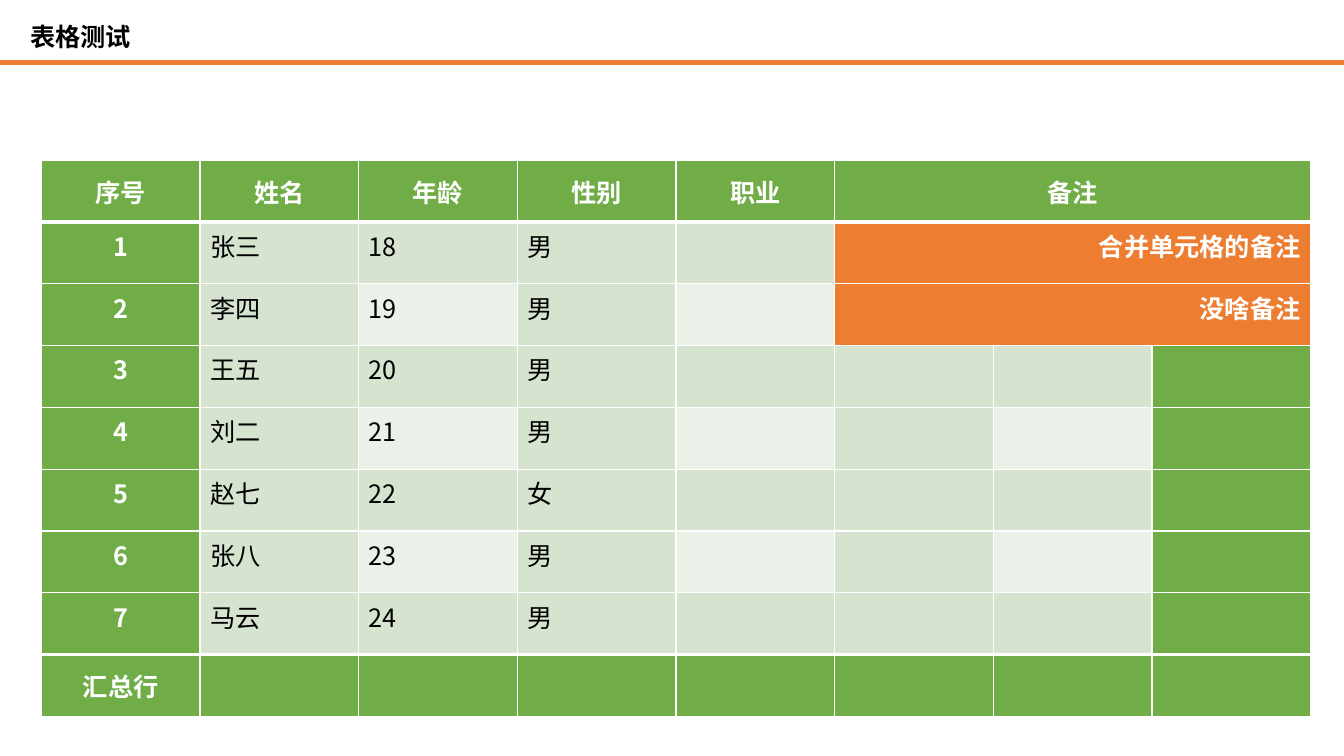
from lxml.etree import SubElement
from pptx import Presentation
from pptx.dml.color import RGBColor
from pptx.enum.shapes import MSO_CONNECTOR
from pptx.enum.text import MSO_ANCHOR, MSO_AUTO_SIZE, PP_ALIGN
from pptx.oxml.ns import qn
from pptx.util import Inches, Pt

COLORS = {
    "white": "FFFFFF",
    "black": "000000",
    "green": "70AD47",
    "orange": "ED7D31",
    "band": "D5E3CF",
    "light": "EBF1E9",
}
FONT = "Noto Sans CJK SC"
HEADERS = ["序号", "姓名", "年龄", "性别", "职业", "备注"]
PEOPLE = [
    ("张三", "男"), ("李四", "男"), ("王五", "男"), ("刘二", "男"),
    ("赵七", "女"), ("张八", "男"), ("马云", "男"),
]
REMARKS = {1: "合并单元格的备注", 2: "没啥备注"}
FIRST_AGE = 18
COLUMNS = 8
REMARK_COLUMN = len(HEADERS) - 1
LAST_ROW = len(PEOPLE) + 1
THIN, THICK = 0.96, 3


def color(name):
    """Return the named palette colour."""
    return RGBColor.from_string(COLORS[name])


def style_paragraph(paragraph, color_name, bold, alignment):
    """Set the font, colour and alignment of a paragraph."""
    paragraph.alignment = alignment
    font = paragraph.font
    font.size = Pt(18)
    font.bold = bold
    font.color.rgb = color(color_name)
    font.name = FONT
    properties = paragraph._p.pPr.find(qn("a:defRPr"))
    SubElement(properties, qn("a:ea"), typeface=FONT)


def add_heading(slide, left, top, width, height, slide_width):
    """Place the title and the full-width rule below it."""
    title = slide.shapes.title
    title.left, title.top, title.width, title.height = left, top, width, height
    frame = title.text_frame
    frame.text = "表格测试"
    frame.word_wrap = False
    frame.auto_size = MSO_AUTO_SIZE.NONE
    frame.vertical_anchor = MSO_ANCHOR.MIDDLE
    style_paragraph(frame.paragraphs[0], "black", True, PP_ALIGN.LEFT)

    rule_top = top + height + Inches(0.06)
    rule = slide.shapes.add_connector(
        MSO_CONNECTOR.STRAIGHT, 0, rule_top, slide_width, rule_top)
    rule.line.color.rgb = color("orange")
    rule.line.width = Pt(3)
    SubElement(rule._element.spPr, qn("a:effectLst"))


def fill_name(row, column):
    """Choose a cell's fill from its row and column."""
    if row in (0, LAST_ROW) or column == 0:
        return "green"
    if row in REMARKS and column >= REMARK_COLUMN:
        return "orange"
    if column == COLUMNS - 1:
        return "green"
    return "light" if row % 2 == 0 and column % 2 == 0 else "band"


def add_borders(cell, row):
    """Draw white cell borders, thick beside the header and total rows."""
    widths = {
        "a:lnL": THIN,
        "a:lnR": THIN,
        "a:lnT": THICK if row in (1, LAST_ROW) else THIN,
        "a:lnB": THICK if row in (0, LAST_ROW - 1) else THIN,
    }
    properties = cell._tc.get_or_add_tcPr()
    for side, width in widths.items():
        line = SubElement(properties, qn(side), w=str(Pt(width)))
        fill = SubElement(line, qn("a:solidFill"))
        SubElement(fill, qn("a:srgbClr"), val=COLORS["white"])


def table_texts():
    """Return the wording of every table row."""
    rows = [HEADERS]
    for number, (name, gender) in enumerate(PEOPLE, start=1):
        age = FIRST_AGE + number - 1
        rows.append([str(number), name, str(age), gender, "", REMARKS.get(number, "")])
    return rows + [["汇总行"]]


def format_cell(cell, row, column, text):
    """Fill, border and write one cell."""
    background = fill_name(row, column)
    add_borders(cell, row)
    cell.fill.solid()
    cell.fill.fore_color.rgb = color(background)
    edge_row = row in (0, LAST_ROW)
    cell.vertical_anchor = MSO_ANCHOR.MIDDLE if edge_row else MSO_ANCHOR.TOP
    cell.text = text
    strong = background in ("green", "orange")
    alignment = {"green": PP_ALIGN.CENTER, "orange": PP_ALIGN.RIGHT}.get(
        background, PP_ALIGN.LEFT)
    style_paragraph(cell.text_frame.paragraphs[0],
                    "white" if strong else "black", strong, alignment)


def add_people_table(slide, left, top, width, height):
    """Build the people table in the given box."""
    texts = table_texts()
    table = slide.shapes.add_table(
        len(texts), COLUMNS, left, top, width, height).table
    table.first_row = False
    table.horz_banding = False
    for row, row_texts in enumerate(texts):
        for column in range(COLUMNS):
            text = row_texts[column] if column < len(row_texts) else ""
            format_cell(table.cell(row, column), row, column, text)
    for row in (0, *REMARKS):
        table.cell(row, REMARK_COLUMN).merge(table.cell(row, COLUMNS - 1))


def main():
    """Create and save the presentation."""
    presentation = Presentation()
    presentation.slide_width = Inches(13.33)
    presentation.slide_height = Inches(7.5)
    slide = presentation.slides.add_slide(presentation.slide_layouts[5])
    add_people_table(slide, Inches(0.41), Inches(1.59), Inches(12.59), Inches(5.52))
    add_heading(slide, Inches(0.2), Inches(0.16), Inches(1.21), Inches(0.4),
                presentation.slide_width)
    presentation.save("out.pptx")


if __name__ == "__main__":
    main()
